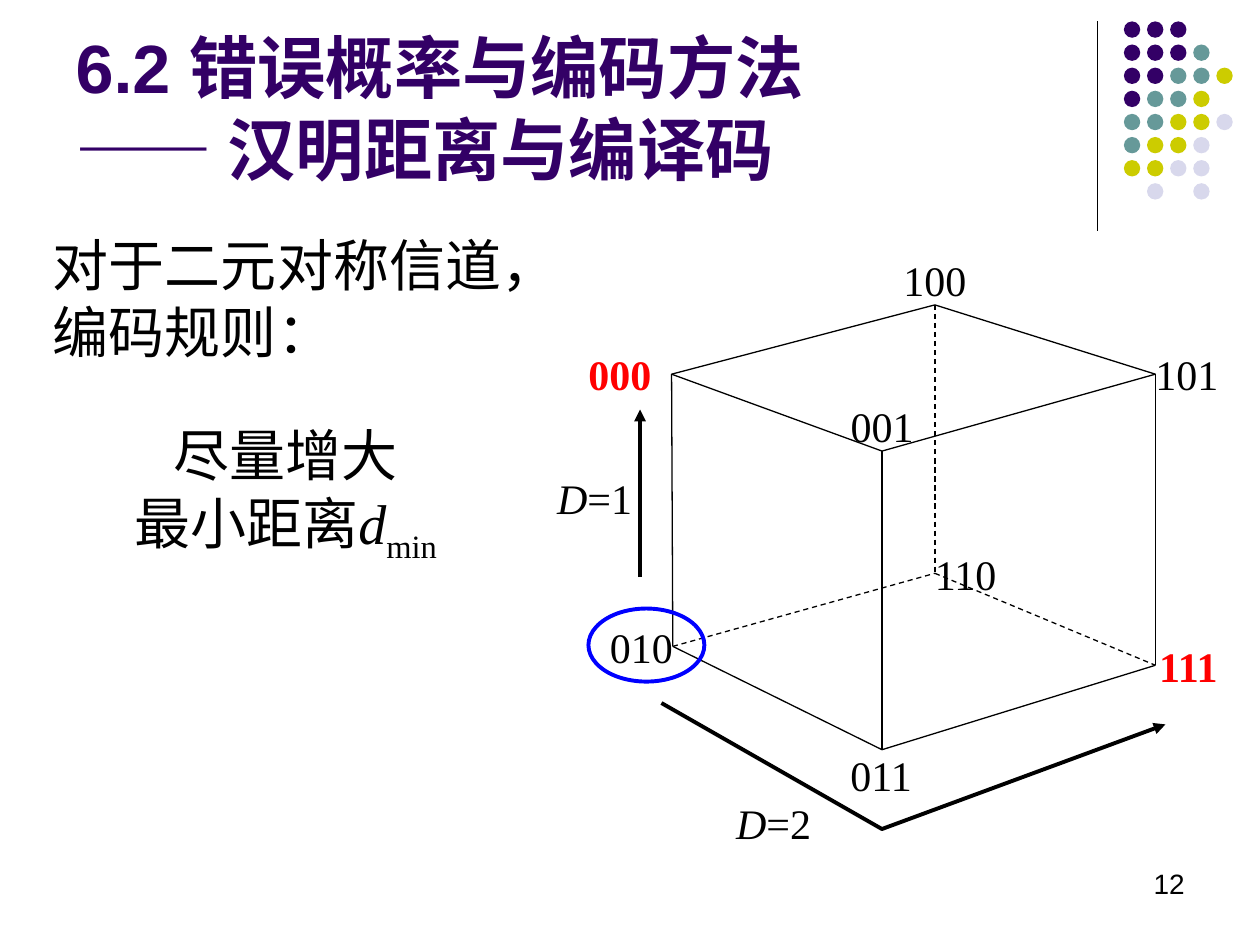
from dataclasses import dataclass

from lxml import etree
from pptx import Presentation
from pptx.dml.color import RGBColor
from pptx.enum.dml import MSO_LINE
from pptx.enum.shapes import MSO_CONNECTOR, MSO_SHAPE
from pptx.enum.text import MSO_ANCHOR, PP_ALIGN
from pptx.oxml.ns import qn
from pptx.util import Inches, Pt

DASH = MSO_LINE.DASH
STRAIGHT = MSO_CONNECTOR.STRAIGHT
OVAL = MSO_SHAPE.OVAL
BOTTOM = MSO_ANCHOR.BOTTOM
LEFT, CENTER, RIGHT = PP_ALIGN.LEFT, PP_ALIGN.CENTER, PP_ALIGN.RIGHT

SANS, SERIF = "Arial", "Times New Roman"
COLORS = {
    "black": "000000",
    "red": "FF0000",
    "blue": "0000FF",
    "P": "330066",
    "T": "669999",
    "Y": "CCCC00",
    "G": "D8D8EC",
}


@dataclass
class Run:
    text: str
    slant: bool = False
    sub: bool = False


@dataclass
class Label:
    lines: list[list[Run]]
    box: tuple[float, float, float, float]
    size: int = 24
    color: str = "black"
    bold: bool = False
    align: PP_ALIGN = LEFT
    face: str = SERIF
    inset: tuple[float, float] = (0, 0)
    wrap: bool = False


@dataclass
class Edge:
    start: tuple[float, float]
    end: tuple[float, float]
    width: float = 0.75
    dashed: bool = False
    arrow: bool = False


def color(name: str) -> RGBColor:
    return RGBColor.from_string(COLORS[name])


def style(font, face: str, size: int, tint: str, bold: bool) -> None:
    font.name, font.size, font.bold = face, Pt(size), bold
    font.color.rgb = color(tint)


def add_label(slide, label: Label) -> None:
    frame = slide.shapes.add_textbox(*map(Inches, label.box)).text_frame
    frame.word_wrap = label.wrap
    frame.margin_left = frame.margin_right = Inches(label.inset[0])
    frame.margin_top = frame.margin_bottom = Inches(label.inset[1])
    for i, line in enumerate(label.lines):
        para = frame.add_paragraph() if i else frame.paragraphs[0]
        para.alignment = label.align
        for part in line:
            run = para.add_run()
            run.text = part.text
            style(run.font, label.face, label.size, label.color, label.bold)
            run.font.italic = part.slant
            if part.sub:
                run._r.get_or_add_rPr().set("baseline", "-25000")


def set_line(shape, width: float, tint: str = "black", arrow: bool = False) -> None:
    shape.line.color.rgb = color(tint)
    shape.line.width = Pt(width)
    if arrow:
        tip = etree.SubElement(shape.line._get_or_add_ln(), qn("a:tailEnd"))
        tip.set("type", "triangle")


def add_edge(slide, edge: Edge) -> None:
    ends = map(Inches, (*edge.start, *edge.end))
    line = slide.shapes.add_connector(STRAIGHT, *ends)
    etree.SubElement(line._element.spPr, qn("a:effectLst"))
    if edge.dashed:
        line.line.dash_style = DASH
    set_line(line, edge.width, arrow=edge.arrow)
    effect = line._element.spPr.find(qn("a:effectLst"))
    line._element.spPr.append(effect)


def add_dots(slide) -> None:
    rows = ["PPP", "PPPT", "PPTTY", "PTTY", "TTYYG", "TYYG", "YYGG", " G G"]
    step, size = 0.1835, Inches(0.13)
    for j, row in enumerate(rows):
        for i, key in enumerate(row):
            if key == " ":
                continue
            x, y = Inches(8.92 + i * step), Inches(0.17 + j * step)
            dot = slide.shapes.add_shape(OVAL, x, y, size, size)
            dot.shadow.inherit = False
            dot.fill.solid()
            dot.fill.fore_color.rgb = color(key)
            dot.line.fill.background()


def add_title(slide) -> None:
    title = slide.shapes.title
    title.left, title.top = Inches(0.5), Inches(0.13)
    title.width, title.height = Inches(8.25), Inches(1.42)
    frame = title.text_frame
    frame.text = "6.2 错误概率与编码方法\v—— 汉明距离与编译码"
    frame.vertical_anchor = BOTTOM
    para = frame.paragraphs[0]
    para.alignment = LEFT
    for run in para.runs:
        style(run.font, SANS, 39, "P", True)


def add_cube(slide) -> None:
    nodes = {
        "000": (5.33, 2.97), "001": (7, 3.58), "100": (7.42, 2.42),
        "101": (9.17, 2.97), "010": (5.34, 5.13), "011": (7, 5.95),
        "110": (7.42, 4.55), "111": (9.17, 5.28),
    }
    spots = {
        "111": (9.2, 5.08), "000": (4.67, 2.77), "001": (6.75, 3.18),
        "010": (4.84, 4.93), "100": (7.17, 2.02), "011": (6.75, 5.95),
        "110": (7.42, 4.35), "101": (9.17, 2.77),
    }
    for code, spot in spots.items():
        main = code in ("000", "111")
        add_label(slide, Label([[Run(code)]], (*spot, 0.5, 0.4),
                               color="red" if main else "black", bold=main))
    for a in nodes:
        for b in nodes:
            if a < b and sum(p != q for p, q in zip(a, b)) == 1:
                add_edge(slide, Edge(nodes[a], nodes[b], dashed="110" in (a, b)))


def add_path(slide) -> None:
    first, *rest = [tuple(map(Inches, p)) for p in ((5.25, 5.58), (7, 6.58), (9.25, 5.75))]
    pen = slide.shapes.build_freeform(*first)
    pen.add_line_segments(rest, close=False)
    path = pen.convert_to_shape()
    path.shadow.inherit = False
    path.fill.background()
    set_line(path, 2.25, arrow=True)


def add_ring(slide) -> None:
    ring = slide.shapes.add_shape(OVAL, *map(Inches, (4.67, 4.83, 0.92, 0.58)))
    ring.shadow.inherit = False
    ring.fill.background()
    set_line(ring, 2.25, "blue")


def main() -> None:
    deck = Presentation()
    deck.slide_width, deck.slide_height = Inches(10), Inches(7.5)
    slide = deck.slides.add_slide(deck.slide_layouts[5])
    add_edge(slide, Edge((8.71, 0.17), (8.71, 1.83)))
    add_dots(slide)
    add_title(slide)
    add_label(slide, Label([[Run("12")]], (7.17, 6.83, 2.33, 0.5), 16, align=RIGHT,
                           face=SANS, inset=(0.1, 0.05), wrap=True))
    add_cube(slide)
    add_label(slide, Label([[Run("对于二元对称信道，")], [Run("编码规则：")]],
                           (0.42, 1.83, 4.01, 1.07), 32))
    goal = [Run("最小距离"), Run("d", slant=True), Run("min", sub=True)]
    add_label(slide, Label([[Run("尽量增大")], goal], (1.01, 3.34, 2.51, 1.14), 32,
                           align=CENTER))
    add_ring(slide)
    add_edge(slide, Edge((5.08, 4.58), (5.08, 3.25), 2.25, arrow=True))
    add_path(slide)
    for text, x, y in (("=1", 4.42, 3.75), ("=2", 5.84, 6.33)):
        add_label(slide, Label([[Run("D", slant=True), Run(text)]], (x, y, 0.6, 0.4),
                               align=CENTER))
    deck.save("out.pptx")


if __name__ == "__main__":
    main()
